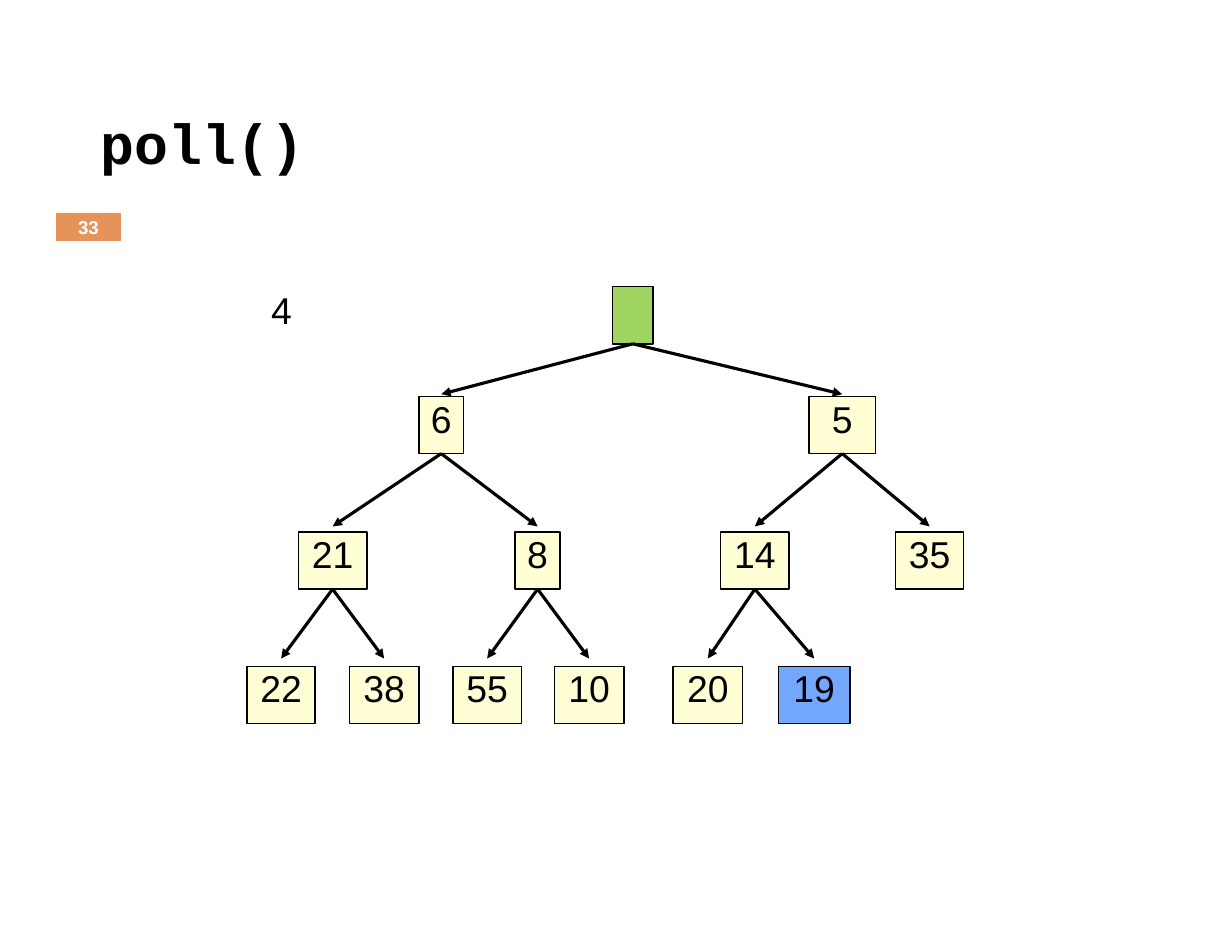
import pptx
import pptx.util
import pptx.dml.color
import pptx.enum.shapes
import pptx.enum.text
import pptx.oxml.ns
from lxml import etree

# Content
TITLE = "poll()"
PAGE_NUMBER = "33"
REMOVED_VALUE = "4"

# Heap in array order: value, centre x, width (inches), colour name
HEAP = [
    ("", 5.65, 0.36, "hole"),
    ("6", 3.94, 0.40, "node"), ("5", 7.52, 0.59, "node"),
    ("21", 2.97, 0.61, "node"), ("8", 4.80, 0.40, "node"),
    ("14", 6.74, 0.61, "node"), ("35", 8.30, 0.61, "node"),
    ("22", 2.51, 0.61, "node"), ("38", 3.43, 0.62, "node"),
    ("55", 4.35, 0.61, "node"), ("10", 5.26, 0.62, "node"),
    ("20", 6.32, 0.62, "node"), ("19", 7.27, 0.64, "last"),
]
LEVEL_TOPS = [2.56, 3.54, 4.75, 5.95]
ARROW_GAPS = [0, 0.02, 0.05, 0.07]
NODE_HEIGHT = 0.51

COLORS = {
    "node": "FFFED5", "hole": "A1D562", "last": "74A7FE",
    "badge": "E59358", "ink": "000000", "paper": "FFFFFF",
}

inches = pptx.util.Inches
points = pptx.util.Pt
ALIGN = pptx.enum.text.PP_ALIGN
ANCHOR = pptx.enum.text.MSO_ANCHOR


def color(name):
    return pptx.dml.color.RGBColor.from_string(COLORS[name])


def write(shape, text, size, font="Arial", ink="ink", bold=False,
          align=ALIGN.CENTER, anchor=ANCHOR.TOP, line_spacing=None):
    frame = shape.text_frame
    frame.word_wrap = True
    frame.vertical_anchor = anchor
    frame.margin_left = frame.margin_right = 0
    frame.margin_top = frame.margin_bottom = 0
    paragraph = frame.paragraphs[0]
    paragraph.alignment = align
    if line_spacing:
        paragraph.line_spacing = points(line_spacing)
    run = paragraph.add_run()
    run.text = text
    run.font.name = font
    run.font.size = points(size)
    run.font.bold = bold
    run.font.color.rgb = color(ink)


def add_box(slide, left, top, width, height, fill, outlined=True):
    shape = slide.shapes.add_shape(
        pptx.enum.shapes.MSO_SHAPE.RECTANGLE,
        inches(left), inches(top), inches(width), inches(height))
    shape.shadow.inherit = False
    shape.fill.solid()
    shape.fill.fore_color.rgb = color(fill)
    if outlined:
        shape.line.color.rgb = color("ink")
        shape.line.width = points(1)
    else:
        shape.line.fill.background()
    return shape


def add_arrow(slide, parent, tip_x, tip_y):
    arrow = slide.shapes.add_connector(
        pptx.enum.shapes.MSO_CONNECTOR.STRAIGHT,
        0, 0, inches(tip_x), inches(tip_y))
    arrow.begin_connect(parent, 2)
    arrow.line.color.rgb = color("ink")
    arrow.line.width = points(2)
    qualified = pptx.oxml.ns.qn
    etree.SubElement(arrow.line._get_or_add_ln(), qualified("a:tailEnd"),
                     type="triangle", w="med", len="med")
    etree.SubElement(arrow._element.spPr, qualified("a:effectLst"))


def add_label(slide, left, top, width, height):
    return slide.shapes.add_textbox(
        inches(left), inches(top), inches(width), inches(height))


def main():
    presentation = pptx.Presentation()
    presentation.slide_width = inches(11)
    presentation.slide_height = inches(8.5)
    slide = presentation.slides.add_slide(presentation.slide_layouts[6])

    # Title and page number
    write(add_label(slide, 0.9, 0.45, 9.35, 1.64), TITLE, 36.3, "Courier New",
          bold=True, align=ALIGN.LEFT, anchor=ANCHOR.MIDDLE)
    write(add_box(slide, 0.5, 1.9, 0.58, 0.25, "badge", outlined=False),
          PAGE_NUMBER, 12, ink="paper", bold=True, anchor=ANCHOR.MIDDLE)

    # Value taken from the heap
    write(add_label(slide, 2.42, 2.56, 0.2, 0.41), REMOVED_VALUE, 24,
          align=ALIGN.LEFT)

    # Heap: the parent of item i is item (i - 1) // 2
    nodes = []
    for index, (value, center, width, fill) in enumerate(HEAP):
        level = (index + 1).bit_length() - 1
        top = LEVEL_TOPS[level]
        node = add_box(slide, center - width / 2, top, width, NODE_HEIGHT, fill)
        if value:
            write(node, value, 24, line_spacing=28.3)
        if index:
            add_arrow(slide, nodes[(index - 1) // 2],
                      center, top - ARROW_GAPS[level])
        nodes.append(node)

    presentation.save("out.pptx")


if __name__ == "__main__":
    main()
